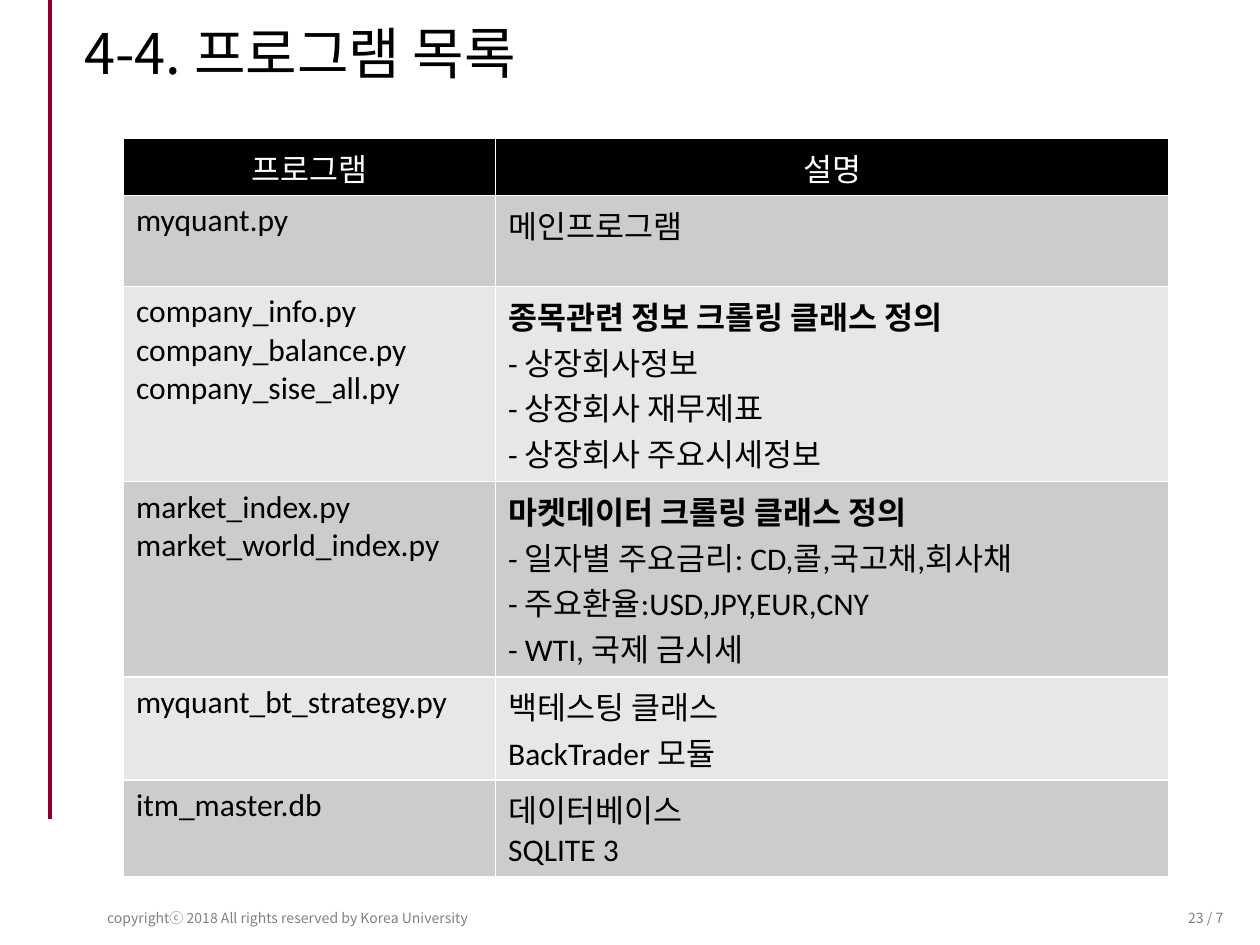
import pptx
import pptx.dml.color
import pptx.enum.shapes
import pptx.enum.text
import pptx.oxml.ns
import pptx.util
from lxml import etree

Pt = pptx.util.Pt
ALIGN = pptx.enum.text.PP_ALIGN
ANCHOR = pptx.enum.text.MSO_ANCHOR
NOTO = "Noto Sans CJK KR"

ROWS = [
    (32.6, "프로그램", "설명"),
    (52, "myquant.py", "메인프로그램"),
    (111.5, "company_info.py\ncompany_balance.py\ncompany_sise_all.py",
     "종목관련 정보 크롤링 클래스 정의\n- 상장회사정보\n- 상장회사 재무제표\n- 상장회사 주요시세정보"),
    (111.5, "market_index.py\nmarket_world_index.py",
     "마켓데이터 크롤링 클래스 정의\n- 일자별 주요금리: CD,콜,국고채,회사채\n"
     "- 주요환율:USD,JPY,EUR,CNY\n- WTI, 국제 금시세"),
    (59, "myquant_bt_strategy.py", "백테스팅 클래스\nBackTrader 모듈"),
    (55.4, "itm_master.db", "데이터베이스\nSQLITE 3"),
]
WIDTHS = (212.6, 384.6)


def color(code):
    """Return the colour for a hex string."""
    return pptx.dml.color.RGBColor.from_string(code)


def put(item, **vals):
    """Set each given attribute on an item."""
    for name, val in vals.items():
        setattr(item, name, val)


def style(para, size, face, code, align=ALIGN.LEFT, bold=False):
    """Format a paragraph and its runs."""
    para.alignment = align
    for run in para.runs:
        put(run.font, size=Pt(size), name=face, bold=bold)
        run.font.color.rgb = color(code)
        east = etree.SubElement(run.font._element, pptx.oxml.ns.qn("a:ea"))
        east.set("typeface", NOTO)


def place(shape, left, top, width, height):
    """Move and size a shape in points."""
    put(shape, left=Pt(left), top=Pt(top), width=Pt(width), height=Pt(height))


def head(slide, text):
    """Fill the title placeholder."""
    title = slide.shapes.title
    place(title, 41, 11.5, 521.3, 40.3)
    put(title.text_frame, text=text, vertical_anchor=ANCHOR.TOP,
        auto_size=pptx.enum.text.MSO_AUTO_SIZE.NONE)
    para = title.text_frame.paragraphs[0]
    para.line_spacing = 0.9
    style(para, 32, NOTO, "000000")


def label(slide, text, box, align, anchor):
    """Add a small grey footer text."""
    frame = slide.shapes.add_textbox(*map(Pt, box)).text_frame
    put(frame, text=text, word_wrap=True, vertical_anchor=anchor)
    style(frame.paragraphs[0], 8, NOTO, "808080", align)
    return frame


def rule(slide):
    """Draw the red line down the left margin."""
    kind = pptx.enum.shapes.MSO_CONNECTOR.STRAIGHT
    line = slide.shapes.add_connector(kind, Pt(28.8), Pt(0), Pt(28.8), Pt(468))
    line.line.width = Pt(2.25)
    line.line.color.rgb = color("8B0028")
    etree.SubElement(line._element.spPr, pptx.oxml.ns.qn("a:effectLst"))


def grid(slide):
    """Add the table of programs."""
    tall = sum(row[0] for row in ROWS)
    frame = slide.shapes.add_table(
        len(ROWS), len(WIDTHS), Pt(70.6), Pt(79.2), Pt(sum(WIDTHS)), Pt(tall))
    table = frame.table
    for col, width in zip(table.columns, WIDTHS):
        col.width = Pt(width)
    for row, (high, *texts) in enumerate(ROWS):
        table.rows[row].height = Pt(high)
        for col, text in enumerate(texts):
            cell = table.cell(row, col)
            cell.text = text
            cell.fill.solid()
            shade = ("E7E7E7", "CCCCCC")[row % 2] if row else "000000"
            cell.fill.fore_color.rgb = color(shade)
            paras = cell.text_frame.paragraphs
            for num, para in enumerate(paras):
                bold = num == 0 and len(paras) == 4
                style(para, 18, "Calibri", "000000" if row else "FFFFFF",
                      ALIGN.LEFT if row else ALIGN.CENTER, bold)


def main():
    """Build and save the slide."""
    deck = pptx.Presentation()
    put(deck, slide_width=Pt(720), slide_height=Pt(540))
    slide = deck.slides.add_slide(deck.slide_layouts[5])
    page = label(slide, "23 / 7", (656.6, 517.7, 47.5, 13.7), ALIGN.RIGHT, ANCHOR.MIDDLE)
    put(page, margin_left=Pt(5), margin_right=Pt(5), margin_top=Pt(3), margin_bottom=Pt(3))
    label(slide, "copyrightⓒ 2018 All rights reserved by Korea University",
          (42.5, 516.2, 244.1, 17.3), ALIGN.CENTER, ANCHOR.TOP)
    rule(slide)
    head(slide, "4-4. 프로그램 목록")
    grid(slide)
    deck.save("out.pptx")


if __name__ == "__main__":
    main()
